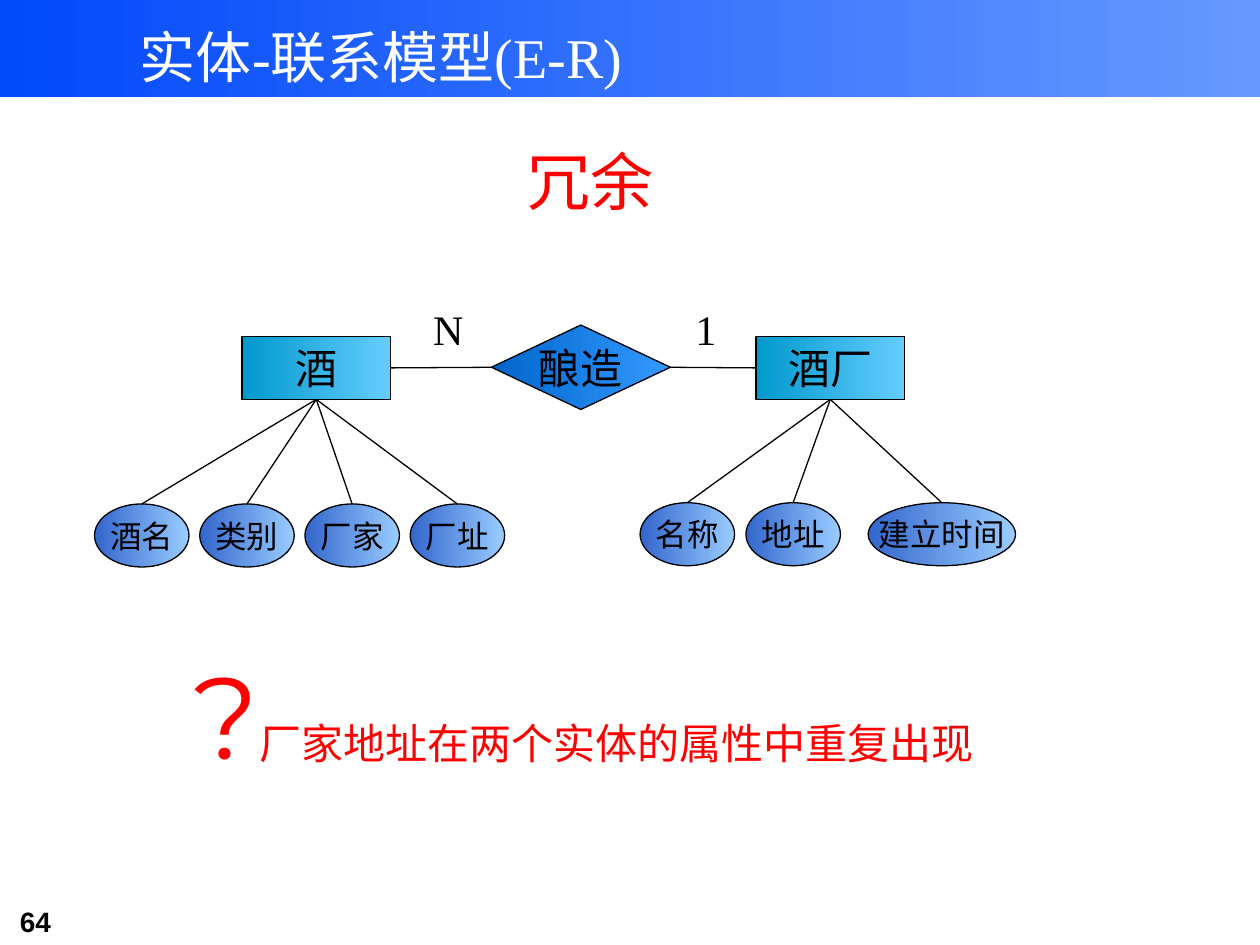
from lxml import etree
from pptx import Presentation
from pptx.dml.color import RGBColor
from pptx.enum.shapes import MSO_CONNECTOR, MSO_SHAPE
from pptx.enum.text import MSO_ANCHOR, MSO_AUTO_SIZE, PP_ALIGN
from pptx.oxml.ns import qn
from pptx.util import Inches, Pt

RECTANGLE, ELLIPSE = MSO_SHAPE.RECTANGLE, MSO_SHAPE.OVAL
DIAMOND = MSO_SHAPE.FLOWCHART_DECISION
STRAIGHT = MSO_CONNECTOR.STRAIGHT
TOP, MIDDLE = MSO_ANCHOR.TOP, MSO_ANCHOR.MIDDLE
LEFT, CENTER = PP_ALIGN.LEFT, PP_ALIGN.CENTER
TOP_SITE, LEFT_SITE, BOTTOM_SITE, RIGHT_SITE = range(4)

BLACK = RGBColor(0x00, 0x00, 0x00)
WHITE = RGBColor(0xFF, 0xFF, 0xFF)
RED = RGBColor(0xFF, 0x00, 0x00)
BAND_COLORS = RGBColor(0x02, 0x49, 0xFA), RGBColor(0x66, 0x99, 0xFF)
ENTITY_COLORS = RGBColor(0x00, 0x99, 0xCC), RGBColor(0x66, 0xCC, 0xFF)
RELATION_COLORS = RGBColor(0x00, 0x66, 0xCC), RGBColor(0x33, 0x99, 0xFF)
ATTRIBUTE_COLORS = RGBColor(0x33, 0x66, 0xCC), RGBColor(0x99, 0xCC, 0xFF)
SERIF = "Times New Roman"

# Content
TITLE = "实体-联系模型(E-R)"
# Entity: name, left, attribute top, attributes as (name, left, width)
ATTRIBUTE_WIDTH, ATTRIBUTE_STEP = 0.75, 0.835
ENTITIES = [
    ("酒", 1.92, 4.0, [
        (name, 0.75 + index * ATTRIBUTE_STEP, ATTRIBUTE_WIDTH)
        for index, name in enumerate(["酒名", "类别", "厂家", "厂址"])]),
    ("酒厂", 6.0, 3.99, [
        ("名称", 5.08, ATTRIBUTE_WIDTH),
        ("地址", 5.92, ATTRIBUTE_WIDTH),
        ("建立时间", 6.89, 1.17)]),
]
RELATION = "酿造"
# Text boxes: spans as (text, size, font), colour, bold, wrap, left, top, width, height
TEXTS = [
    ([("N", 24, SERIF)], BLACK, False, False, (3.34, 2.36, 0.44, 0.5)),
    ([("1", 24, SERIF)], BLACK, False, False, (5.42, 2.36, 0.36, 0.5)),
    ([("冗余", 36, "Roboto Condensed")], RED, False, False, (4.09, 1.08, 1.2, 0.7)),
    ([("?", 66, "Montserrat"), ("厂家地址在两个实体的属性中重复出现", 24, "Montserrat")],
     RED, False, True, (1.44, 5.06, 6.52, 1.2)),
    ([("64", 16, "Arial")], BLACK, True, True, (0.06, 7.13, 1.22, 0.37)),
]


def set_font(font, size, name, color, bold=False):
    font.size, font.name, font.bold = Pt(size), name, bold
    font.color.rgb = color


def add_gradient_shape(page, kind, place, colors):
    shape = page.shapes.add_shape(kind, *map(Inches, place))
    shape.shadow.inherit = False
    shape.fill.gradient()
    shape.fill.gradient_angle = 0
    for stop, color in zip(shape.fill.gradient_stops, colors):
        stop.color.rgb = color
    return shape


def add_node(page, kind, place, colors, text, size, anchor=MIDDLE, wrap=False):
    node = add_gradient_shape(page, kind, place, colors)
    node.line.color.rgb, node.line.width = BLACK, Pt(0.75)
    frame = node.text_frame
    frame.text, frame.word_wrap, frame.vertical_anchor = text, wrap, anchor
    # Same insets in every node, as in a plain text box
    frame.margin_left = frame.margin_right = Inches(0.1)
    frame.margin_top = frame.margin_bottom = Inches(0.05)
    frame.paragraphs[0].alignment = CENTER
    set_font(frame.paragraphs[0].font, size, SERIF, BLACK)
    return node


def join(page, start, start_site, end, end_site):
    line = page.shapes.add_connector(STRAIGHT, 0, 0, 0, 0)
    line.begin_connect(start, start_site)
    line.end_connect(end, end_site)
    line.line.color.rgb, line.line.width = BLACK, Pt(0.75)
    etree.SubElement(line._element.spPr, qn("a:effectLst"))


def add_text(page, spans, color, bold, wrap, place):
    box = page.shapes.add_textbox(*map(Inches, place))
    box.text_frame.word_wrap = wrap
    para = box.text_frame.paragraphs[0]
    for text, size, name in spans:
        span = para.add_run()
        span.text = text
        set_font(span.font, size, name, color, bold)


def main():
    deck = Presentation()
    deck.slide_width, deck.slide_height = Inches(10), Inches(7.5)
    page = deck.slides.add_slide(deck.slide_layouts[5])

    # Title on its band
    title = page.shapes.title
    title.left, title.top = Inches(1.01), Inches(-0.14)
    title.width, title.height = Inches(6.67), Inches(1.7)
    frame = title.text_frame
    frame.text, frame.word_wrap = TITLE, True
    frame.auto_size, frame.vertical_anchor = MSO_AUTO_SIZE.NONE, TOP
    para = frame.paragraphs[0]
    para.alignment, para.line_spacing = LEFT, 1.5
    set_font(para.font, 32, SERIF, WHITE)
    band = add_gradient_shape(page, RECTANGLE, (0, 0, 10, 0.77), BAND_COLORS)
    band.line.fill.background()
    title._element.addprevious(band._element)

    # Entities with their attributes
    entities = []
    for name, left, attribute_top, attributes in ENTITIES:
        entity = add_node(page, RECTANGLE, (left, 2.67, 1.18, 0.5),
                          ENTITY_COLORS, name, 24, TOP, True)
        entities.append(entity)
        for label, attribute_left, width in attributes:
            attribute = add_node(page, ELLIPSE, (attribute_left, attribute_top, width, 0.5),
                                 ATTRIBUTE_COLORS, label, 18)
            join(page, attribute, TOP_SITE, entity, BOTTOM_SITE)

    # Relation between the entities
    wine, winery = entities
    relation = add_node(page, DIAMOND, (3.9, 2.58, 1.42, 0.67), RELATION_COLORS, RELATION, 24)
    join(page, wine, RIGHT_SITE, relation, LEFT_SITE)
    join(page, relation, RIGHT_SITE, winery, LEFT_SITE)

    # Cardinalities, heading, remark and page number
    for text in TEXTS:
        add_text(page, *text)

    deck.save("out.pptx")


if __name__ == "__main__":
    main()
